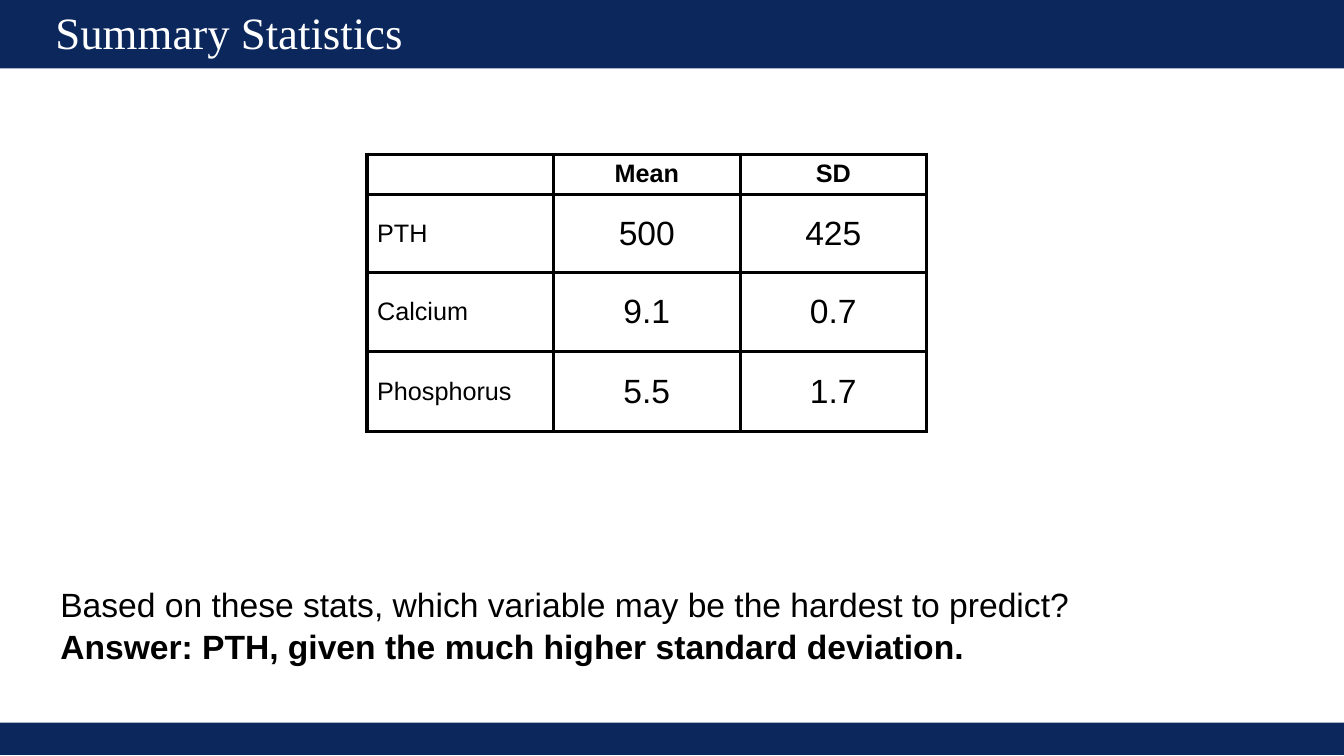
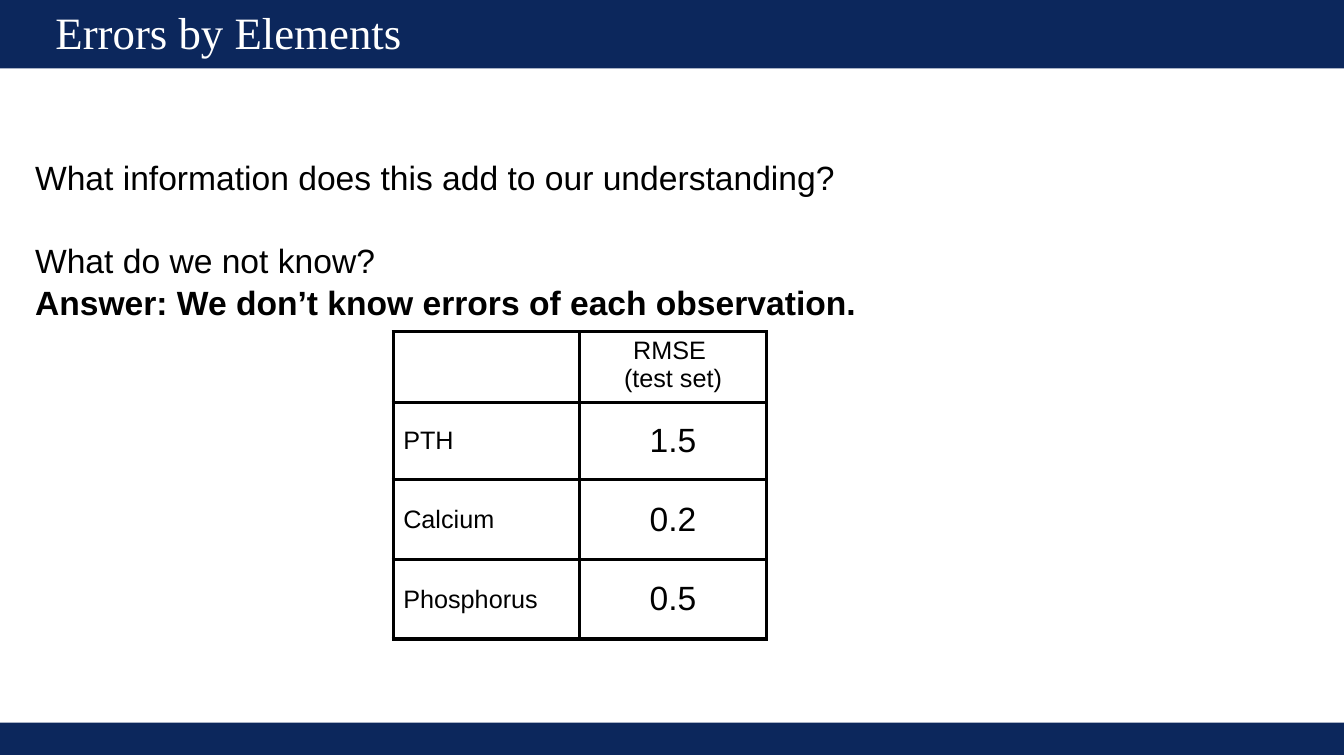
import pptx
import pptx.dml.color
import pptx.enum.shapes
import pptx.enum.text
import pptx.oxml.ns
import pptx.util
import lxml.etree

Inches = pptx.util.Inches
Pt = pptx.util.Pt
ALIGN = pptx.enum.text.PP_ALIGN
ANCHOR = pptx.enum.text.MSO_ANCHOR

COLORS = {"navy": "0C275C", "white": "FFFFFF", "black": "000000"}
TITLE = {"name": "Times New Roman", "size": Pt(32)}
BODY = {"name": "Arial", "size": Pt(24), "bold": False}
LABEL = {**BODY, "size": Pt(18)}
STRONG = {"bold": True}

WIDTH = 13.33
COL = 1.85
ROWS = (0.38, 0.77, 0.79, 0.79)
BANDS = ((0, 0.68), (7.17, 0.32))


def tint(key):
    return pptx.dml.color.RGBColor.from_string(COLORS[key])


class Deck:
    """Holds the style and the current slide."""

    def __init__(self):
        self.prs = pptx.Presentation()
        self.prs.slide_width = Inches(WIDTH)
        self.prs.slide_height = Inches(7.5)
        self.slide = None

    def page(self, title):
        self.slide = self.prs.slides.add_slide(self.prs.slide_layouts[6])
        for top, high in BANDS:
            self.band(top, high)
        frame = self.box(0.55, 0.08, 9.74, 0.54)
        edges = ("margin_left", "margin_top", "margin_right", "margin_bottom")
        for edge in edges:
            setattr(frame, edge, 0)
        frame.vertical_anchor = ANCHOR.MIDDLE
        para = frame.paragraphs[0]
        para.line_spacing = 0.9
        self.label(para, title, TITLE, "white")

    def band(self, top, high):
        kind = pptx.enum.shapes.MSO_SHAPE.RECTANGLE
        bar = self.slide.shapes.add_shape(
            kind, 0, Inches(top), Inches(WIDTH), Inches(high))
        bar.shadow.inherit = False
        bar.fill.solid()
        bar.fill.fore_color.rgb = tint("navy")
        bar.line.fill.background()

    def box(self, left, top, wide, high):
        shape = self.slide.shapes.add_textbox(
            Inches(left), Inches(top), Inches(wide), Inches(high))
        shape.text_frame.word_wrap = True
        return shape.text_frame

    def label(self, para, text, style, color="black"):
        para.text = text
        for run in para.runs:
            for key, value in style.items():
                setattr(run.font, key, value)
            run.font.color.rgb = tint(color)

    def prose(self, left, top, high, lines):
        """Each line is its text, extra style and space before in points."""
        frame = self.box(left, top, 11.5, high)
        for i, (text, extra, gap) in enumerate(lines):
            para = frame.add_paragraph() if i else frame.paragraphs[0]
            para.line_spacing = 1.05
            if gap:
                para.space_before = Pt(gap)
            self.label(para, text, {**BODY, **extra})

    def border(self, cell):
        qn = pptx.oxml.ns.qn
        props = cell._tc.get_or_add_tcPr()
        for side in ("lnL", "lnR", "lnT", "lnB"):
            line = lxml.etree.SubElement(
                props, qn("a:" + side), w=str(int(Pt(2.55))))
            fill = lxml.etree.SubElement(line, qn("a:solidFill"))
            lxml.etree.SubElement(fill, qn("a:srgbClr"), val=COLORS["black"])

    def table(self, left, top, data, head):
        cols = len(data[0])
        grid = self.slide.shapes.add_table(
            len(data), cols, Inches(left), Inches(top),
            Inches(COL * cols), Inches(sum(ROWS))).table
        grid.first_row = grid.horz_banding = False
        for col in grid.columns:
            col.width = Inches(COL)
        for r, (row, high) in enumerate(zip(data, ROWS)):
            grid.rows[r].height = Inches(high)
            for c, text in enumerate(row):
                cell = grid.cell(r, c)
                self.border(cell)
                cell.fill.solid()
                cell.fill.fore_color.rgb = tint("white")
                para = cell.text_frame.paragraphs[0]
                if r:
                    cell.vertical_anchor = ANCHOR.MIDDLE
                if c:
                    para.alignment = ALIGN.CENTER
                style = BODY if r and c else LABEL
                self.label(para, text, style if r else {**style, **head})


def main():
    deck = Deck()

    # Summary statistics
    deck.page("Summary Statistics")
    deck.table(3.64, 1.53, [
        ("", "Mean", "SD"),
        ("PTH", "500", "425"),
        ("Calcium", "9.1", "0.7"),
        ("Phosphorus", "5.5", "1.7"),
    ], STRONG)
    deck.prose(0.5, 5.72, 0.84, [
        ("Based on these stats, which variable may be the hardest to predict?",
         {}, 0),
        ("Answer: PTH, given the much higher standard deviation.", STRONG, 0),
    ])

    # Errors by element
    deck.page("Errors by Elements")
    deck.prose(0.25, 1.49, 1.21, [
        ("What information does this add to our understanding?", {}, 0),
        ("What do we not know?", {}, 29),
        ("Answer: We don’t know errors of each observation.", STRONG, 0),
    ])
    deck.table(3.9, 3.29, [
        ("", "RMSE \v(test set)"),
        ("PTH", "1.5"),
        ("Calcium", "0.2"),
        ("Phosphorus", "0.5"),
    ], {})

    deck.prs.save("out.pptx")


if __name__ == "__main__":
    main()
